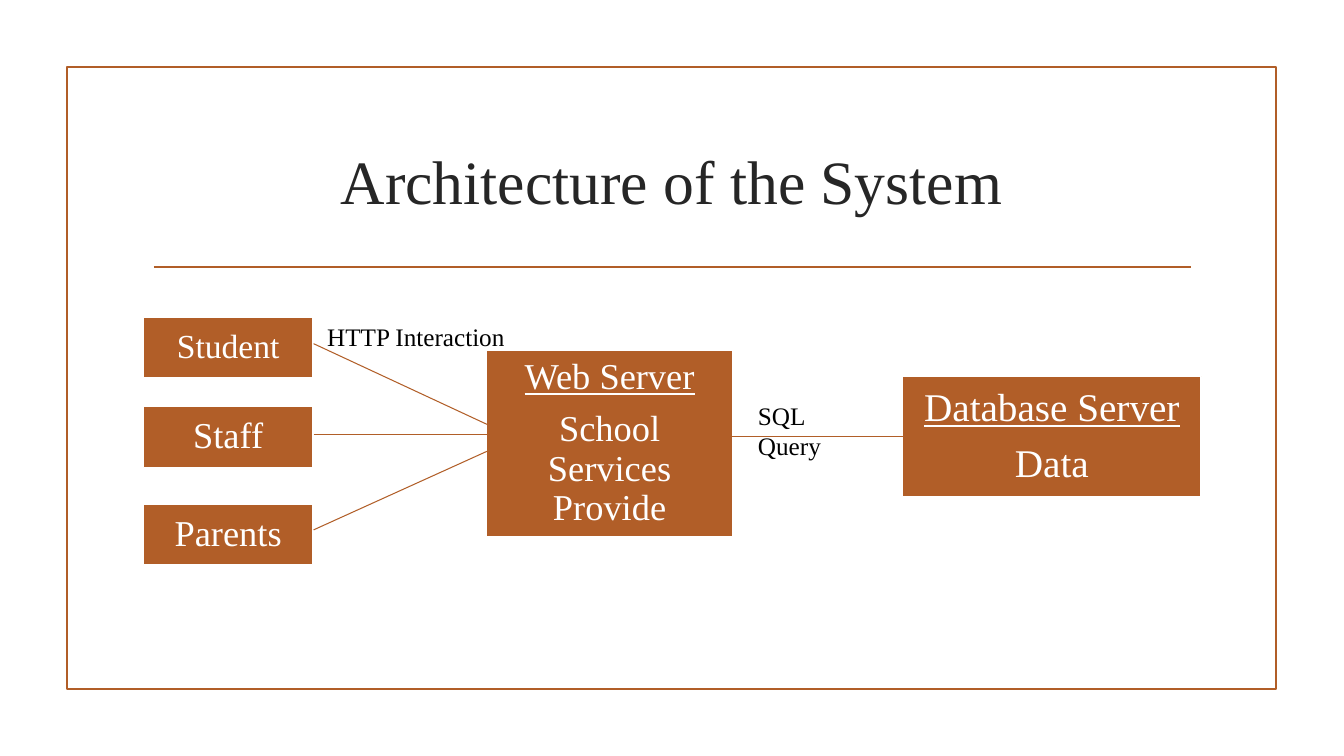
from dataclasses import dataclass

from lxml.etree import SubElement
from pptx import Presentation
from pptx.dml.color import RGBColor
from pptx.enum.shapes import MSO_CONNECTOR, MSO_SHAPE
from pptx.enum.text import MSO_ANCHOR, PP_ALIGN
from pptx.oxml.ns import qn
from pptx.util import Pt


@dataclass(frozen=True)
class Theme:
    font: str = "Times New Roman"
    accent: RGBColor = RGBColor(0xB1, 0x5E, 0x28)
    white: RGBColor = RGBColor(0xFF, 0xFF, 0xFF)
    heading: RGBColor = RGBColor(0x26, 0x26, 0x26)
    black: RGBColor = RGBColor(0, 0, 0)
    title_size: float = 44
    label_size: float = 18
    small_size: float = 24
    node_size: float = 26
    database_size: float = 28
    thick: float = 1.25
    thin: float = 0.75


def apply_format(target, values):
    for name, value in values.items():
        setattr(target, name, value)


class SlideBuilder:
    """Draws styled elements on one slide, with lengths in points."""

    def __init__(self, slide, theme):
        self.slide = slide
        self.theme = theme

    def rectangle(self, box, line_color, fill_color=None):
        shape = self.slide.shapes.add_shape(MSO_SHAPE.RECTANGLE, *map(Pt, box))
        shape.shadow.inherit = False
        if fill_color is None:
            shape.fill.background()
        else:
            shape.fill.solid()
            shape.fill.fore_color.rgb = fill_color
        shape.line.color.rgb = line_color
        shape.line.width = Pt(self.theme.thick)
        return shape

    def fill_paragraph(self, paragraph, text, size, color, underline=False):
        paragraph.text = text
        apply_format(paragraph.font, {"name": self.theme.font, "size": Pt(size), "underline": underline})
        paragraph.font.color.rgb = color

    def node(self, box, size, lines, inset):
        shape = self.rectangle(box, self.theme.white, self.theme.accent)
        frame = shape.text_frame
        margins = {f"margin_{side}": Pt(inset) for side in ("left", "top", "right", "bottom")}
        apply_format(frame, {"word_wrap": True, "vertical_anchor": MSO_ANCHOR.MIDDLE, **margins})
        for index, text in enumerate(lines):
            paragraph = frame.add_paragraph() if index else frame.paragraphs[0]
            self.fill_paragraph(paragraph, text, size, self.theme.white, index < len(lines) - 1)
            apply_format(paragraph, {
                "alignment": PP_ALIGN.CENTER,
                "line_spacing": 0.9,
                "space_after": Pt(0.35 * size),
            })

    def text(self, box, text, size, color, **frame_format):
        frame = self.slide.shapes.add_textbox(*map(Pt, box)).text_frame
        apply_format(frame, {"word_wrap": True, **frame_format})
        self.fill_paragraph(frame.paragraphs[0], text, size, color)
        return frame.paragraphs[0]

    def line(self, start, end, width):
        connector = self.slide.shapes.add_connector(
            MSO_CONNECTOR.STRAIGHT, *map(Pt, (*start, *end)))
        connector.line.color.rgb = self.theme.accent
        connector.line.width = Pt(width)
        SubElement(connector._element.spPr, qn("a:effectLst"))


def main():
    presentation = Presentation()
    apply_format(presentation, {"slide_width": Pt(960), "slide_height": Pt(540)})
    theme = Theme()
    slide = presentation.slides.add_slide(presentation.slide_layouts[6])
    builder = SlideBuilder(slide, theme)

    builder.rectangle((47.7, 48, 864, 444), theme.accent)
    builder.line((110, 190.8), (850.5, 190.8), theme.thick)
    title = builder.text((102, 77, 756, 103), "Architecture of the System",
                         theme.title_size, theme.heading, vertical_anchor=MSO_ANCHOR.MIDDLE)
    title.alignment = PP_ALIGN.CENTER

    users = (
        ("Student", 226.3, theme.small_size, 7.2),
        ("Staff", 290.4, theme.node_size, 7.8),
        ("Parents", 360.2, theme.node_size, 7.8),
    )
    for name, top, size, inset in users:
        builder.node((102.5, top, 121, 43.5), size, [name], inset)
    builder.node((347.4, 250.2, 176.2, 133), theme.node_size,
                 ["Web Server", "School Services Provide"], 7.8)
    builder.node((644.5, 268.9, 213.6, 86), theme.database_size,
                 ["Database Server", "Data"], 8.4)

    for user_y, server_y in ((245.5, 303.1), (378.5, 322.4), (310.2, 310.2)):
        builder.line((224, user_y), (347.8, server_y), theme.thin)
    builder.line((520, 311.6), (646, 311.6), theme.thin)

    builder.text((534.3, 282.2, 97.2, 29), "SQL Query", theme.label_size, theme.black,
                 margin_right=Pt(30))
    builder.text((226.6, 226, 143.3, 29), "HTTP Interaction", theme.label_size, theme.black,
                 word_wrap=False)

    presentation.save("out.pptx")


if __name__ == "__main__":
    main()
